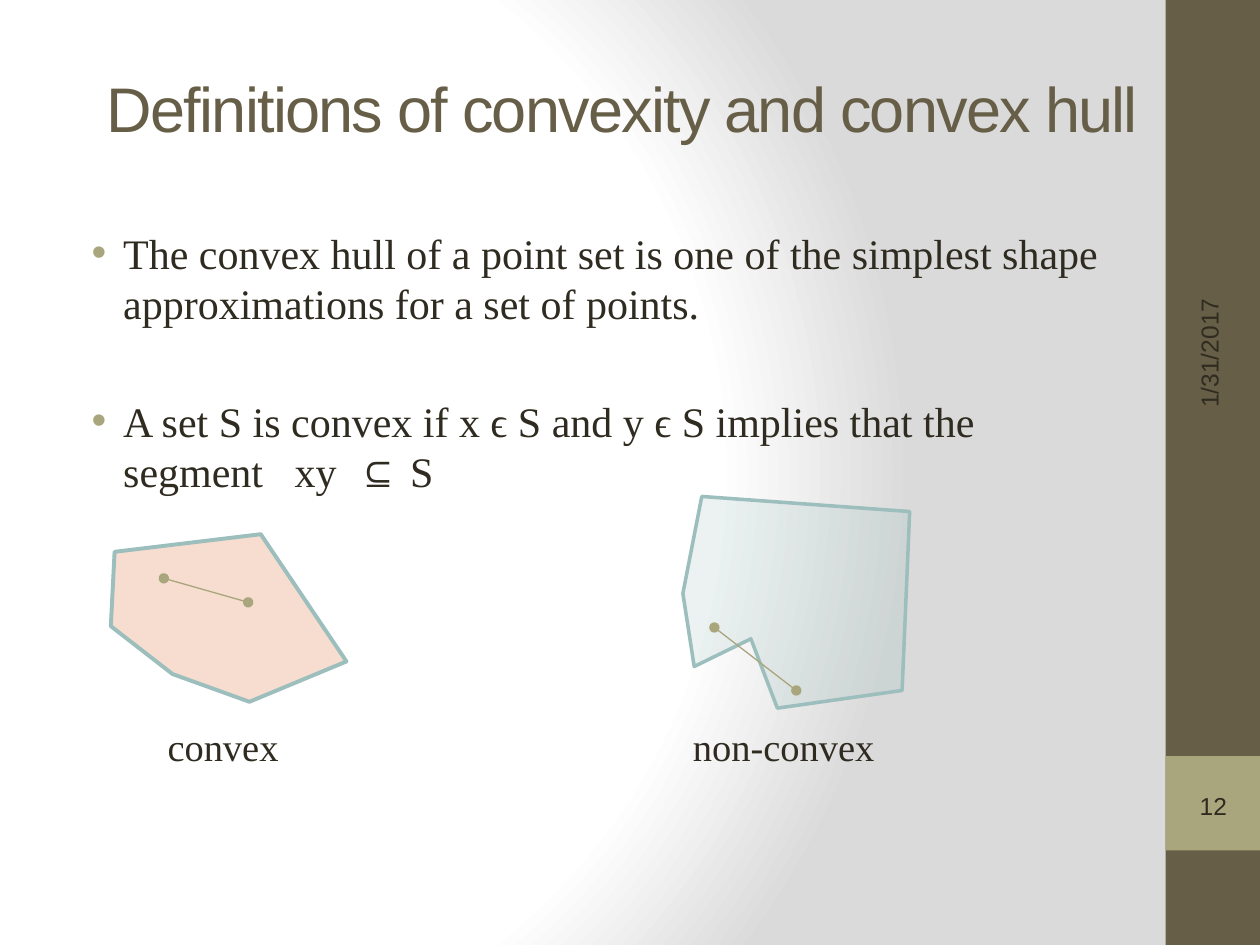
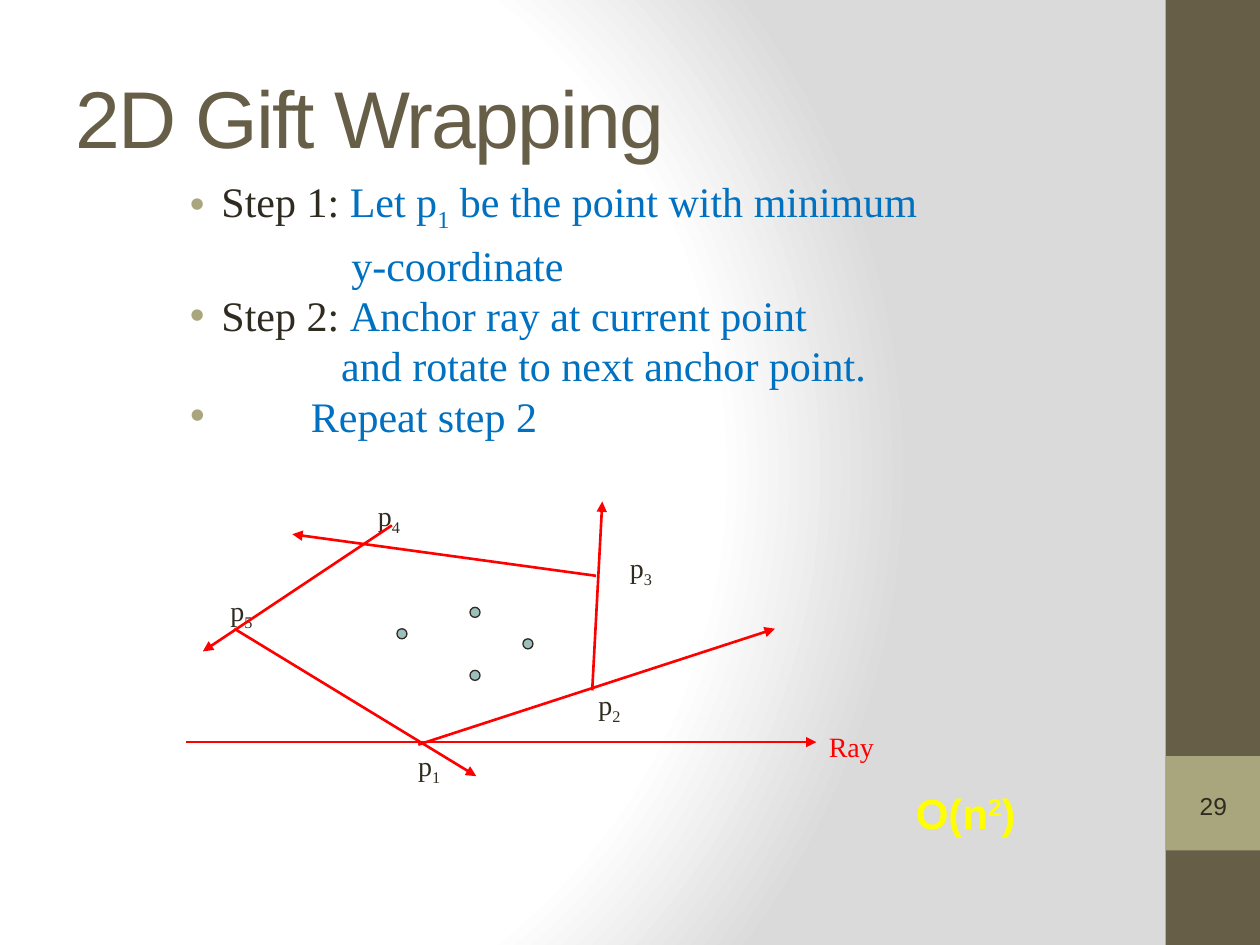
import pptx
import pptx.dml.color
import pptx.enum.shapes
import pptx.enum.text
import pptx.oxml
import pptx.oxml.ns
import pptx.util
from lxml import etree

Inches, Pt = pptx.util.Inches, pptx.util.Pt
MIDDLE = pptx.enum.text.MSO_ANCHOR.MIDDLE
CENTER = pptx.enum.text.PP_ALIGN.CENTER
SHAPES = pptx.enum.shapes.MSO_SHAPE
qn = pptx.oxml.ns.qn

BROWN, OLIVE, INK = "675E47", "A9A57C", "2F2B20"
TEAL, PEACH, BLUE, RED, YELLOW = "9CBEBD", "D25814", "0070C0", "FF0000", "FFFF00"
SANS, SERIF = "Arial", "Times New Roman"
SUB, SUPER = {"baseline": "-25000"}, {"baseline": "30000"}


def rgb(hex_code):
    return pptx.dml.color.RGBColor.from_string(hex_code)


def write(slide, box, paragraphs, font, frame=None):
    """Each paragraph is (runs, layout); each run is (text, colour, run attributes)."""
    label = slide.shapes.add_textbox(*map(Inches, box))
    frame_values = {"word_wrap": True, **(frame or {})}
    for name, value in frame_values.items():
        setattr(label.text_frame, name, value)
    for number, (runs, layout) in enumerate(paragraphs):
        paragraph = label.text_frame.paragraphs[0] if number == 0 else label.text_frame.add_paragraph()
        layout = dict(layout)
        margin, first, bullet = layout.pop("indent", (0, 0, False))
        for name, value in layout.items():
            setattr(paragraph, name, value)
        properties = paragraph._p.get_or_add_pPr()
        properties.set("marL", str(Inches(margin)))
        properties.set("indent", str(Inches(first)))
        if bullet:
            colour = etree.SubElement(properties, qn("a:buClr"))
            etree.SubElement(colour, qn("a:srgbClr"), val=OLIVE)
            etree.SubElement(properties, qn("a:buFont"), typeface=SANS)
            etree.SubElement(properties, qn("a:buChar"), char="•")
        for text, ink, attributes in runs:
            run = paragraph.add_run()
            run.text = text
            for name, value in font.items():
                setattr(run.font, name, value)
            run.font.color.rgb = rgb(ink)
            for name, value in attributes.items():
                run._r.get_or_add_rPr().set(name, value)
    return label


deck = pptx.Presentation()
deck.slide_width, deck.slide_height = Inches(10), Inches(7.5)

# Shared background: white glow fading to grey
deck.slide_master.background.fill.solid()
background = deck.slide_master.element.find(".//" + qn("p:bgPr"))
background.remove(background[0])
background.insert(0, pptx.oxml.parse_xml(
    '<a:gradFill xmlns:a="http://schemas.openxmlformats.org/drawingml/2006/main" rotWithShape="1"><a:gsLst>'
    '<a:gs pos="0"><a:srgbClr val="FFFFFF"/></a:gs>'
    '<a:gs pos="75000"><a:srgbClr val="FFFFFF"/></a:gs>'
    '<a:gs pos="100000"><a:srgbClr val="DADADA"/></a:gs></a:gsLst>'
    '<a:path path="circle"><a:fillToRect l="20000" t="50000" r="100000" b="50000"/></a:path>'
    '</a:gradFill>'))

# Shared side band, page number and title
small = {"name": SANS, "size": Pt(14)}
flush = {"margin_left": 0, "margin_right": 0, "margin_top": 0, "margin_bottom": 0}
slides = []
for title, title_box, title_size, page in [
    ("Definitions of convexity and convex hull", (0.75, 0.25, 8.5, 1.21), 36, "12"),
    ("2D Gift Wrapping", (0.5, 0.3, 8.33, 1.25), 46, "29"),
]:
    slide = deck.slides.add_slide(deck.slide_layouts[6])
    slides.append(slide)
    for top, height, colour in [(0, 7.5, BROWN), (6, 0.75, OLIVE)]:
        band = slide.shapes.add_shape(SHAPES.RECTANGLE, *map(Inches, (9.25, top, 0.75, height)))
        band.shadow.inherit = False
        band.fill.solid()
        band.fill.fore_color.rgb = rgb(colour)
        band.line.fill.background()
    write(slide, (9.33, 6.18, 0.6, 0.43), [([(page, INK, {})], {"alignment": CENTER})],
          small, {"vertical_anchor": MIDDLE, **flush})
    write(slide, title_box, [([(title, BROWN, {"spc": "-100"})], {})],
          {"name": SANS, "size": Pt(title_size)}, {"vertical_anchor": MIDDLE})
convexity, wrapping = slides

# Convexity: date and definitions
date = write(convexity, (8.26, 1.8, 2.67, 0.4), [([("1/31/2017", INK, {})], {})],
             small, {"vertical_anchor": MIDDLE})
date.rotation = 270
body = {"name": SERIF, "size": Pt(24)}
item = {"indent": (0.38, -0.25, True), "line_spacing": Pt(29)}
write(convexity, (0.5, 1.75, 8.33, 2.3), [
    ([("The convex hull of a point set is one of the simplest shape "
       "approximations for a set of points.", INK, {})], item),
    ([("A set S is convex if x ϵ S and y ϵ S implies that the segment", INK, {}),
      (" ", INK, {"spc": "1200"}), ("xy", INK, {}),
      (" ", INK, {"spc": "600"}), ("⊆ S", INK, {})], {**item, "space_before": Pt(38)}),
], body)

# Convexity: example polygons and their captions
for corners, colour, width, caption, caption_left in [
    ([(0.88, 4.97), (1.37, 5.35), (1.98, 5.57), (2.75, 5.25), (2.07, 4.24), (0.91, 4.38)],
     PEACH, 2.25, "convex", 1.33),
    ([(5.42, 4.71), (5.51, 5.29), (5.96, 5.07), (6.17, 5.62), (7.16, 5.48), (7.22, 4.06),
      (5.57, 3.94)], TEAL, 2, "non-convex", 5.5),
]:
    points = [(Inches(x), Inches(y)) for x, y in corners]
    outline = convexity.shapes.build_freeform(*points[0])
    outline.add_line_segments(points[1:], close=True)
    polygon = outline.convert_to_shape()
    polygon.shadow.inherit = False
    polygon.fill.solid()
    polygon.fill.fore_color.rgb = rgb(colour)
    tint = polygon._element.spPr.find(qn("a:solidFill"))[0]
    etree.SubElement(tint, qn("a:alpha"), val="20000")
    polygon.line.color.rgb = rgb(TEAL)
    polygon.line.width = Pt(width)
    write(convexity, (caption_left, 5.74, 2, 0.4), [([(caption, INK, {})], {})],
          {"name": SERIF, "size": Pt(22)}, flush)

# Gift wrapping: steps
step = {**item, "line_spacing": Pt(28.8)}
write(wrapping, (1.28, 1.4, 7.8, 2.3), [
    ([("Step 1: ", INK, {}), ("Let p", BLUE, {}), ("1", BLUE, SUB),
      (" be the point with minimum", BLUE, {})], step),
    ([("y-coordinate", BLUE, {})], {**step, "indent": (1.41, 0, False), "space_before": Pt(3.5)}),
    ([("Step 2: ", INK, {}), ("Anchor ray at current point", BLUE, {})], step),
    ([("and rotate to next anchor point.", BLUE, {})], {**step, "indent": (1.33, 0, False)}),
    ([("Repeat step 2", BLUE, {})], {**step, "indent": (1.09, -0.96, True)}),
], body)

# Gift wrapping: running time
write(wrapping, (7.17, 6.2, 1.2, 0.5),
      [([("O(n", YELLOW, {}), ("2", YELLOW, SUPER), (")", YELLOW, {})], {})],
      {"name": SANS, "size": Pt(24), "bold": True})

# Gift wrapping: inner points
for left, top in [(3.15, 4.99), (4.15, 5.07), (3.73, 5.32), (3.73, 4.82)]:
    point = wrapping.shapes.add_shape(SHAPES.OVAL, *map(Inches, (left, top, 0.08, 0.08)))
    point.shadow.inherit = False
    point.fill.solid()
    point.fill.fore_color.rgb = rgb(TEAL)
    point.line.color.rgb = rgb(INK)
    point.line.width = Pt(0.75)

# Gift wrapping: hull point labels and ray label
diagram_font, one_line = {"name": SERIF, "size": Pt(16)}, {"word_wrap": False}
for index, (left, top) in enumerate(
        [(3.22, 5.89), (4.65, 5.41), (4.9, 4.32), (2.9, 3.91), (1.73, 4.66)], start=1):
    write(wrapping, (left, top, 0.39, 0.37),
          [([("p", INK, {}), (str(index), INK, SUB)], {})], diagram_font, one_line)
write(wrapping, (6.48, 5.74, 0.56, 0.37), [([("Ray", RED, {})], {})], diagram_font, one_line)

# Segments inside the polygons, and rays around the hull
segment = (convexity, OLIVE, 0.75, {"headEnd": "oval", "tailEnd": "oval"})
ray = (wrapping, RED, 1.5, {"tailEnd": "triangle"})
for (slide, colour, width, ends), *course in [
    (segment, 1.3, 4.59, 1.97, 4.78),
    (segment, 5.67, 4.98, 6.32, 5.48),
    (ray, 3.32, 5.91, 6.15, 4.99),
    (ray, 4.7, 5.48, 4.78, 3.98),
    (ray, 4.73, 4.57, 2.32, 4.24),
    (ray, 3.11, 4.17, 1.61, 5.17),
    (ray, 1.86, 4.99, 3.78, 6.16),
    (ray, 1.48, 5.89, 6.48, 5.89),
]:
    stroke = slide.shapes.add_connector(pptx.enum.shapes.MSO_CONNECTOR.STRAIGHT, *map(Inches, course))
    stroke.line.color.rgb = rgb(colour)
    stroke.line.width = Pt(width)
    for end, kind in ends.items():
        etree.SubElement(stroke.line._get_or_add_ln(), qn("a:" + end), type=kind)
    etree.SubElement(stroke._element.spPr, qn("a:effectLst"))

deck.save("out.pptx")
